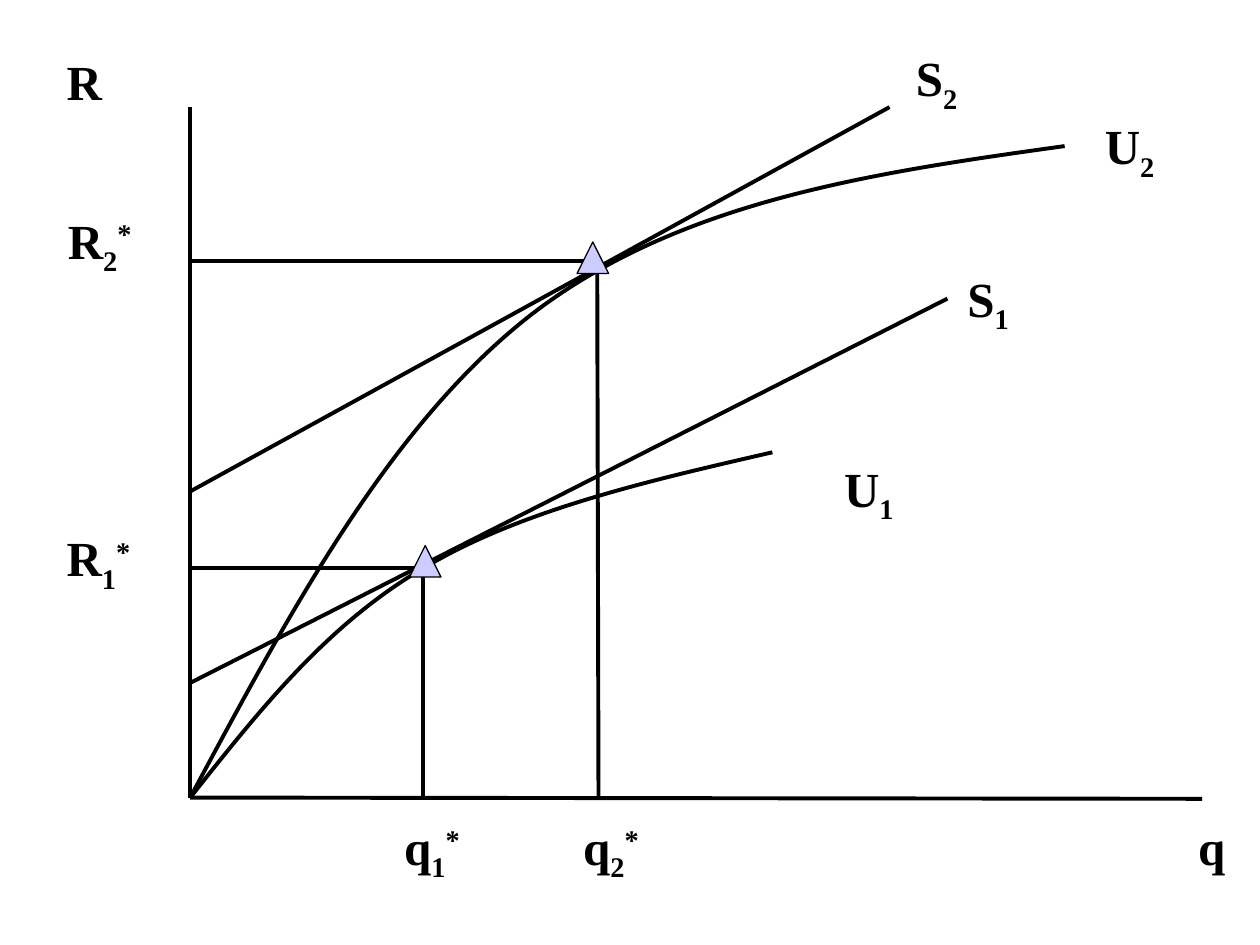
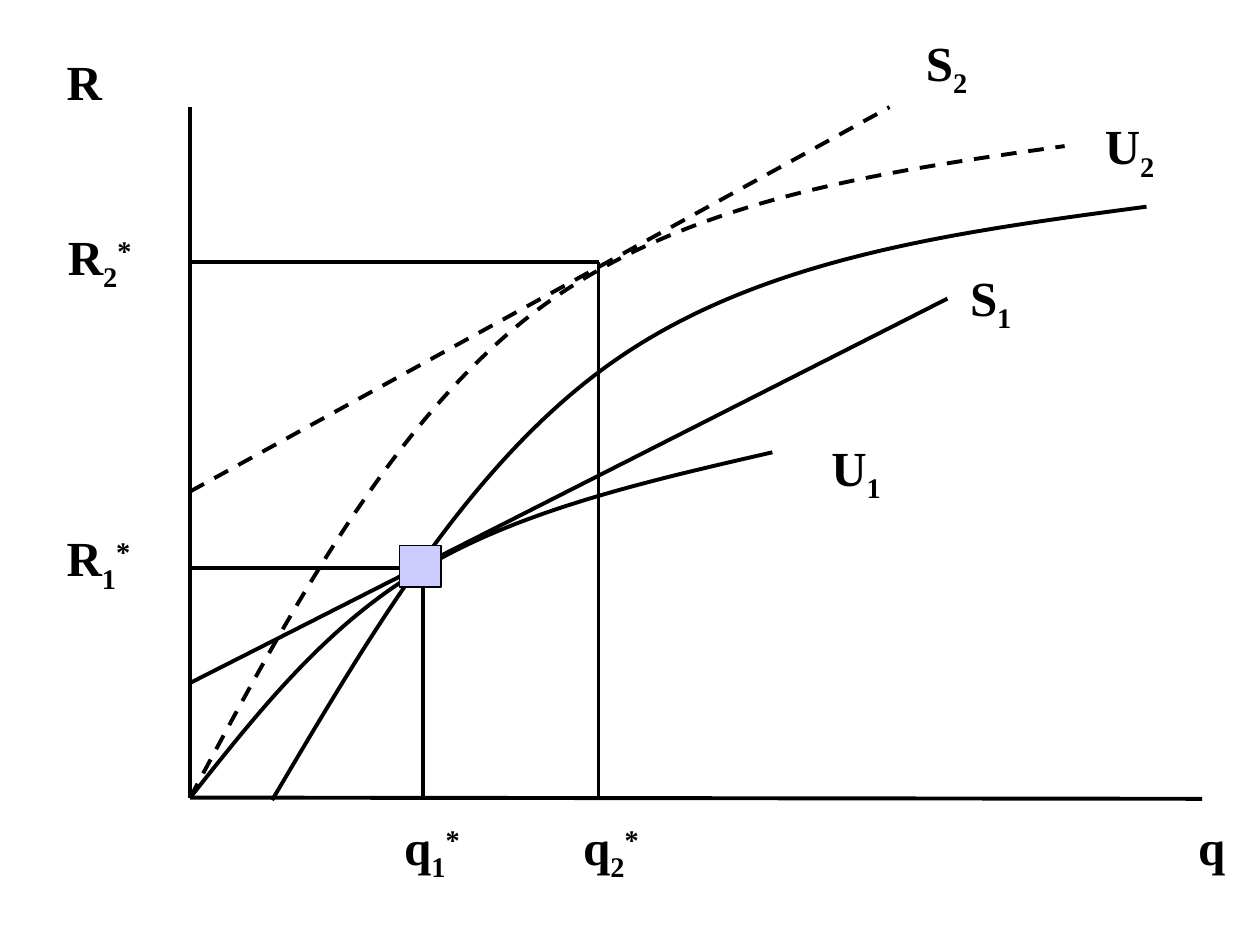
from lxml import etree
from pptx import Presentation
from pptx import util as u
from pptx.dml.color import RGBColor
from pptx.enum import dml, shapes, text
from pptx.oxml.ns import qn

FONT = "Times New Roman"
BLACK, WHITE, LAVENDER = "000000", "FFFFFF", "CCCCFF"
AXIS_X, AXIS_Y = 1.51, 6.33
BASELINES = (None, "-25000", "30000")  # letter, subscript, superscript

SHARED_LABELS = [
    ("R", 0.43, 0.36, 1.39, 1.22),
    ("R1*", 0.43, 4.14, 1.08, 0.91),
    ("q", 9.41, 6.43, 0.59, 0.61),
    ("q1*", 3.11, 6.43, 0.81, 0.78),
    ("q2*", 4.53, 6.43, 0.81, 0.78),
    ("U2", 8.67, 0.87, 1.11, 0.61),
]
# Each curve: start point, then (control, control, end) triples
U1_CURVE = [(AXIS_X, AXIS_Y), (2.05, 5.65), (2.59, 4.96), (3.36, 4.51),
            (4.13, 4.05), (5.13, 3.82), (6.13, 3.59)]
U2_CURVE = [(AXIS_X, AXIS_Y), (2.32, 4.82), (3.13, 3.31), (4.28, 2.45),
            (5.44, 1.59), (6.94, 1.37), (8.45, 1.16)]
SHIFTED_CURVE = [(2.16, 6.35), (2.97, 4.98), (3.78, 3.6), (4.94, 2.82),
                 (6.1, 2.04), (7.6, 1.84), (9.1, 1.64)]


def rgb(color):
    return RGBColor.from_string(color)


def style_line(line, width=2.25, dashed=False):
    line.color.rgb = rgb(BLACK)
    line.width = u.Pt(width)
    if dashed:
        line.dash_style = dml.MSO_LINE.DASH


def add_box(slide, kind, color, left, top, width, height):
    sp = slide.shapes.add_shape(kind, *map(u.Inches, (left, top, width, height)))
    sp.shadow.inherit = False
    sp.fill.solid()
    sp.fill.fore_color.rgb = rgb(color)
    return sp


def add_label(slide, content, *place):
    """Write a letter with an optional subscript and superscript."""
    sp = add_box(slide, shapes.MSO_SHAPE.RECTANGLE, WHITE, *place)
    sp.line.fill.background()
    tf = sp.text_frame
    tf.word_wrap = True
    tf.vertical_anchor = text.MSO_ANCHOR.TOP
    p = tf.paragraphs[0]
    p.alignment = text.PP_ALIGN.LEFT
    for char, baseline in zip(content, BASELINES):
        r = p.add_run()
        r.text = char
        r.font.name, r.font.size, r.font.bold = FONT, u.Pt(28), True
        r.font.color.rgb = rgb(BLACK)
        if baseline:
            r._r.get_or_add_rPr().set("baseline", baseline)


def add_line(slide, start, end, dashed=False):
    line = slide.shapes.add_connector(
        shapes.MSO_CONNECTOR.STRAIGHT, *map(u.Inches, (*start, *end)))
    style_line(line.line, dashed=dashed)
    etree.SubElement(line._element.spPr, qn("a:effectLst"))


def add_curve(slide, points, dashed=False):
    """Draw a freeform and turn each three segments into one Bézier curve."""
    start, *rest = [tuple(map(u.Inches, point)) for point in points]
    builder = slide.shapes.build_freeform(*start)
    builder.add_line_segments(rest, close=False)
    sp = builder.convert_to_shape()
    segments = list(sp._element.iter(qn("a:lnTo")))
    for i in range(0, len(segments), 3):
        bezier = etree.Element(qn("a:cubicBezTo"))
        segments[i].addprevious(bezier)
        for segment in segments[i:i + 3]:
            bezier.append(segment[0])
            segment.getparent().remove(segment)
    sp.fill.background()
    sp.shadow.inherit = False
    style_line(sp.line, dashed=dashed)


def add_guides(slide, x, y, foot_x):
    """Join a point to both axes."""
    add_line(slide, (x, y), (foot_x, AXIS_Y))
    add_line(slide, (x, y), (AXIS_X, y))


def add_marker(slide, kind, left, top, size):
    sp = add_box(slide, kind, LAVENDER, left, top, size, size)
    style_line(sp.line, 0.75)


def add_diagram(prs, labels, q2_point, dashed=False):
    """Draw the axes, tangents, utility curves and labels."""
    slide = prs.slides.add_slide(prs.slide_layouts[6])
    for label in SHARED_LABELS + labels:
        add_label(slide, *label)
    add_line(slide, (AXIS_X, 0.85), (AXIS_X, AXIS_Y))
    add_line(slide, (AXIS_X, AXIS_Y), (9.54, 6.34))
    add_line(slide, (AXIS_X, 5.42), (7.52, 2.37))
    add_curve(slide, U1_CURVE)
    add_line(slide, (AXIS_X, 3.9), (7.06, 0.85), dashed)
    add_curve(slide, U2_CURVE, dashed)
    add_guides(slide, 3.36, 4.51, 3.36)
    add_guides(slide, *q2_point, 4.75)
    return slide


def main():
    prs = Presentation()
    prs.slide_width, prs.slide_height = u.Inches(10), u.Inches(7.5)

    slide = add_diagram(prs, [
        ("R2*", 0.44, 1.62, 1.18, 0.92),
        ("U1", 6.6, 3.59, 1.85, 0.91),
        ("S1", 7.58, 2.08, 1.58, 0.62),
        ("S2", 7.17, 0.33, 1.58, 0.62),
    ], (4.74, 2.07))
    triangle = shapes.MSO_SHAPE.ISOSCELES_TRIANGLE
    add_marker(slide, triangle, 4.58, 1.92, 0.25)
    add_marker(slide, triangle, 3.25, 4.33, 0.25)

    slide = add_diagram(prs, [
        ("R2*", 0.44, 1.75, 1.18, 0.92),
        ("U1", 6.5, 3.42, 1.85, 0.91),
        ("S1", 7.6, 2.07, 1.58, 0.62),
        ("S2", 7.25, 0.21, 1.58, 0.62),
    ], (4.75, 2.08), dashed=True)
    add_curve(slide, SHIFTED_CURVE)
    add_marker(slide, shapes.MSO_SHAPE.RECTANGLE, 3.17, 4.33, 0.33)

    prs.save("out.pptx")


if __name__ == "__main__":
    main()
